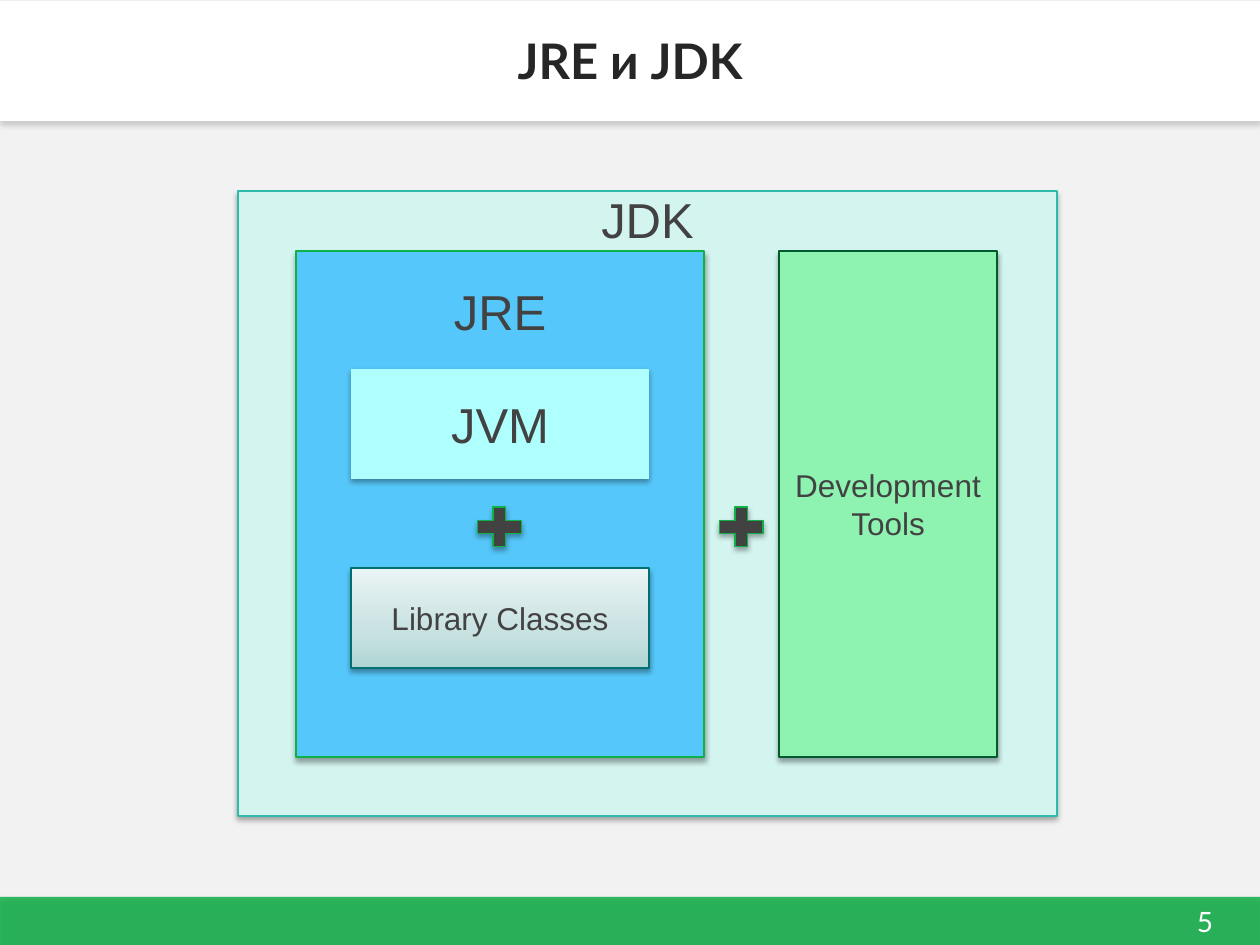
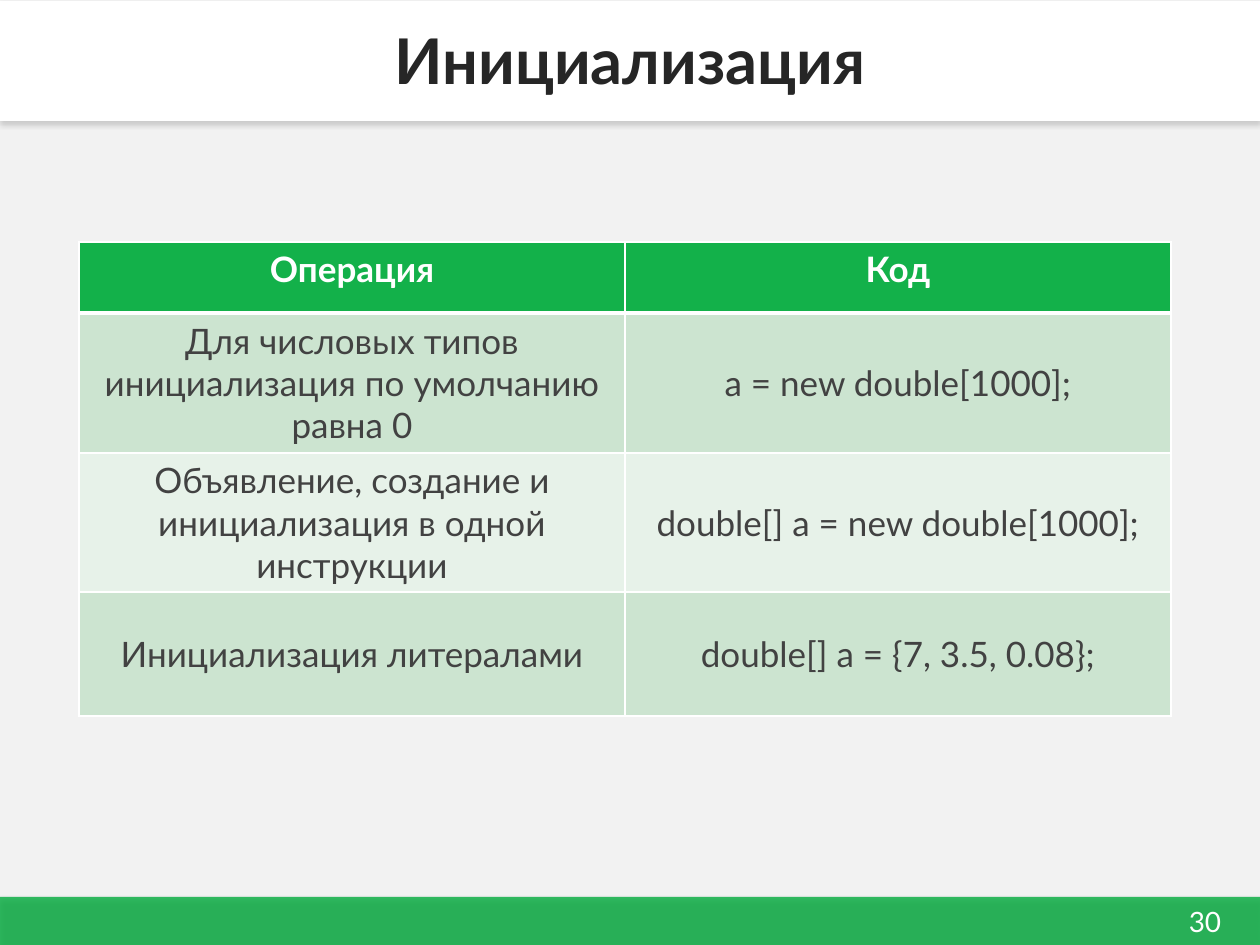
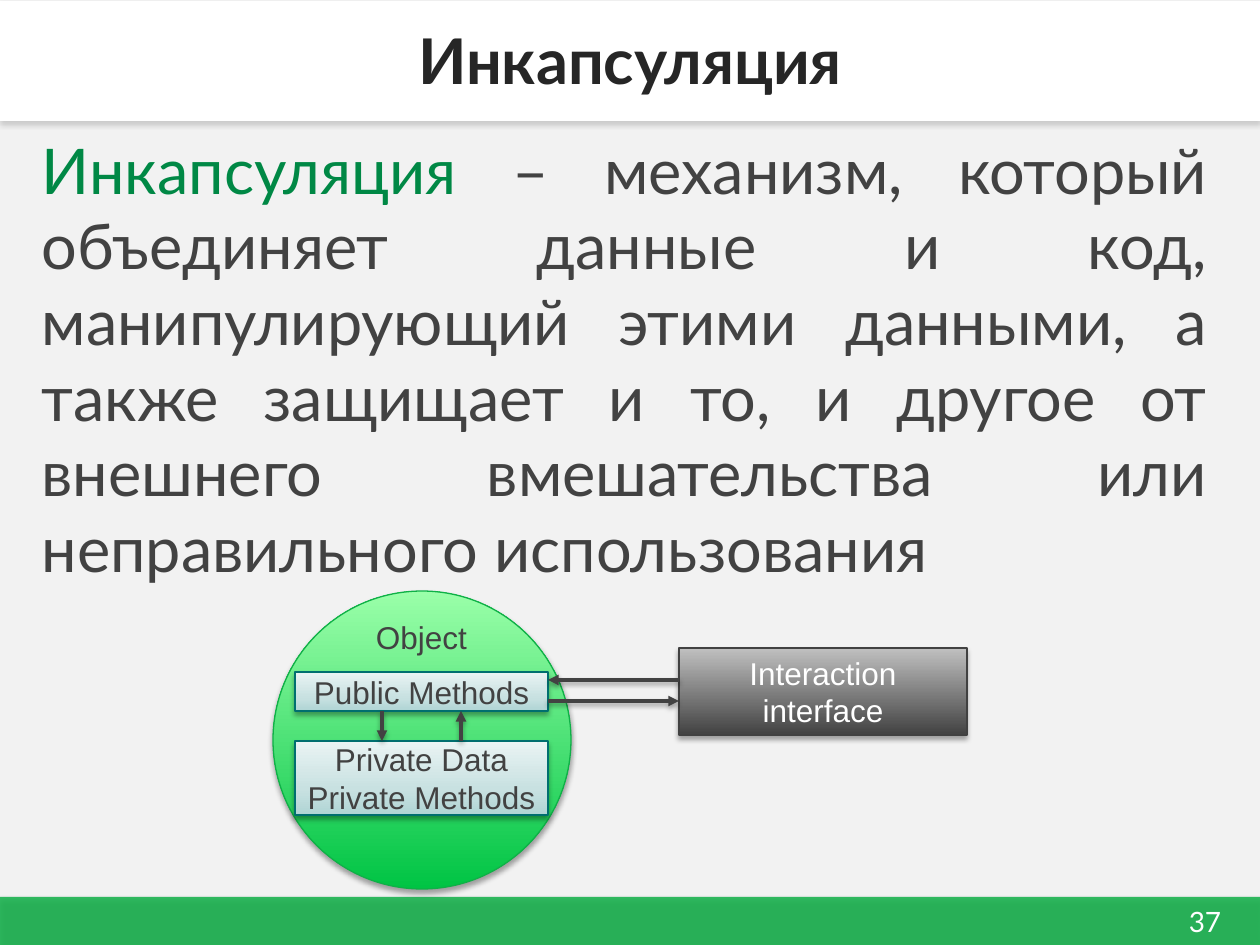
from pptx import Presentation
from pptx.dml.color import RGBColor
from pptx.enum.shapes import MSO_CONNECTOR, MSO_SHAPE
from pptx.enum.text import MSO_ANCHOR, MSO_AUTO_SIZE, PP_ALIGN
from pptx.oxml import parse_xml
from pptx.oxml.ns import nsdecls, qn
from pptx.util import Emu, Pt

EMU_PER_PX = 914400 / 126
SLIDE_W, SLIDE_H = 1260, 945
HEADING_FONT, DIAGRAM_FONT = "Lato", "Arial"
TITLE_ONLY, TITLE_AND_BODY = 5, 1

COLORS = {
    "page": "F2F2F2", "white": "FFFFFF", "black": "000000", "gray": "808080",
    "title": "262626", "text": "424242", "green": "13B14A", "term": "008845",
    "jdk": "D4F4F0", "jdk_line": "2EBBAC", "jre": "56C7FA", "jre_line": "0FB147",
    "jvm": "B0FFFF", "tools": "8EF3B1", "tools_line": "005C2F",
    "part_line": "006F6F", "interface_line": "414141",
    "odd_row": "CCE4D0", "even_row": "E7F2E9",
}
# Gradient stops run from the bottom edge to the top edge.
GRADIENTS = {
    "part": [(0, "B0D5D5"), (35, "C8E1E1"), (100, "EAF4F4")],
    "object": [(0, "00C444"), (100, "9AFFA9")],
    "interface": [(0, "424242"), (100, "C0C0C0")],
}

OPERATIONS = [
    ("Операция", "Код"),
    ("Для числовых типов инициализация по умолчанию равна 0",
     "a = new double[1000];"),
    ("Объявление, создание и инициализация в одной инструкции",
     "double[] a = new double[1000];"),
    ("Инициализация литералами", "double[] a = {7, 3.5, 0.08};"),
]
TERM = "Инкапсуляция"
DEFINITION = (" – механизм, который объединяет данные и код, манипулирующий этими "
              "данными, а также защищает и то, и другое от внешнего вмешательства "
              "или неправильного использования")


def px(*lengths):
    return [Emu(round(length * EMU_PER_PX)) for length in lengths]


def rgb(name):
    return RGBColor.from_string(COLORS[name])


def style_run(run, size, color, font, bold=False):
    run.font.size, run.font.name, run.font.bold = Pt(size), font, bold
    run.font.color.rgb = rgb(color)


def write(frame, text, size, color="text", font=DIAGRAM_FONT, bold=False):
    """Fill a text frame with centred, evenly formatted paragraphs."""
    frame.text = text
    for paragraph in frame.paragraphs:
        paragraph.alignment = PP_ALIGN.CENTER
        for run in paragraph.runs:
            style_run(run, size, color, font, bold)


def place(shape, box):
    shape.left, shape.top, shape.width, shape.height = px(*box)


def add_shadow(shape, color="black", opacity=35, distance=1.8):
    shape.element.spPr.append(parse_xml(
        f'<a:effectLst {nsdecls("a")}><a:outerShdw blurRad="{Pt(3.1)}" '
        f'dist="{Pt(distance)}" dir="5400000" rotWithShape="0">'
        f'<a:srgbClr val="{COLORS[color]}"><a:alpha val="{opacity * 1000}"/>'
        '</a:srgbClr></a:outerShdw></a:effectLst>'))


def fill_gradient(shape, stops):
    stop_xml = "".join(f'<a:gs pos="{pos * 1000}"><a:srgbClr val="{color}"/></a:gs>'
                       for pos, color in stops)
    geometry = shape.element.spPr.find(qn("a:prstGeom"))
    geometry.addnext(parse_xml(
        f'<a:gradFill {nsdecls("a")} rotWithShape="1"><a:gsLst>{stop_xml}</a:gsLst>'
        '<a:lin ang="16200000" scaled="0"/></a:gradFill>'))


def add_block(shapes, box, fill, line=None, text="", size=18, color="text",
              kind=MSO_SHAPE.RECTANGLE, shadow_color="black"):
    block = shapes.add_shape(kind, *px(*box))
    if fill in GRADIENTS:
        fill_gradient(block, GRADIENTS[fill])
    else:
        block.fill.solid()
        block.fill.fore_color.rgb = rgb(fill)
    if line:
        block.line.color.rgb = rgb(line)
        block.line.width = Pt(0.75)
    else:
        block.line.fill.background()
    add_shadow(block, shadow_color)
    if text:
        block.text_frame.vertical_anchor = MSO_ANCHOR.MIDDLE
        write(block.text_frame, text, size, color)
    return block


def add_label(shapes, box, text, size, wrap=True, **style):
    label = shapes.add_textbox(*px(*box))
    label.text_frame.word_wrap = wrap
    write(label.text_frame, text, size, **style)
    return label


def add_arrow(shapes, start, end):
    arrow = shapes.add_connector(MSO_CONNECTOR.STRAIGHT, *px(*start, *end))
    arrow.line.color.rgb = rgb("text")
    arrow.line.width = Pt(2)
    arrow.get_or_add_ln().append(
        parse_xml(f'<a:tailEnd {nsdecls("a")} type="triangle"/>'))
    add_shadow(arrow, opacity=38, distance=1.6)


def add_slide(prs, layout, title_text, title_size, number):
    """Add a slide with the shared bands, title and page number."""
    slide = prs.slides.add_slide(prs.slide_layouts[layout])
    title = slide.shapes.title
    footer = add_block(slide.shapes, (0, 897, SLIDE_W, 48), "green")
    footer_color = footer.element.spPr.find(f"{qn('a:solidFill')}/{qn('a:srgbClr')}")
    footer_color.append(parse_xml(f'<a:alpha {nsdecls("a")} val="86000"/>'))
    header = add_block(slide.shapes, (0, 1, SLIDE_W, 120), "white", shadow_color="gray")
    for band in (footer, header):
        title.element.addprevious(band.element)

    page = add_label(slide.shapes, (1162, 898, 86, 47), number, 16,
                     color="white", font=HEADING_FONT)
    page.text_frame.vertical_anchor = MSO_ANCHOR.MIDDLE

    place(title, (0, -1, SLIDE_W, 121))
    title.text_frame.vertical_anchor = MSO_ANCHOR.MIDDLE
    title.text_frame.auto_size = MSO_AUTO_SIZE.NONE
    write(title.text_frame, title_text, title_size, "title", HEADING_FONT, True)
    return slide


def set_cell_borders(cell, bottom, top):
    borders = (("lnL", 1), ("lnR", 1), ("lnT", top), ("lnB", bottom))
    for index, (side, width) in enumerate(borders):
        cell.fill._xPr.insert(index, parse_xml(
            f'<a:{side} {nsdecls("a")} w="{Pt(width)}"><a:solidFill>'
            f'<a:srgbClr val="{COLORS["white"]}"/></a:solidFill></a:{side}>'))


def add_operations_table(slide):
    row_heights = (71, 140, 139, 124)
    column_width = 546
    table = slide.shapes.add_table(
        len(OPERATIONS), 2,
        *px(79, 242, 2 * column_width, sum(row_heights))).table
    for column in table.columns:
        column.width = px(column_width)[0]
    for r, (texts, height) in enumerate(zip(OPERATIONS, row_heights)):
        table.rows[r].height = px(height)[0]
        is_header = r == 0
        fill = "green" if is_header else ("even_row", "odd_row")[r % 2]
        for c, text in enumerate(texts):
            cell = table.cell(r, c)
            cell.fill.solid()
            cell.fill.fore_color.rgb = rgb(fill)
            cell.vertical_anchor = MSO_ANCHOR.TOP if is_header else MSO_ANCHOR.MIDDLE
            write(cell.text_frame, text, 20, "white" if is_header else "text",
                  HEADING_FONT, is_header)
            set_cell_borders(cell, bottom=3 if is_header else 1, top=3 if r == 1 else 1)


def add_definition(slide):
    body = slide.placeholders[1]
    place(body, (29, 125, 1191, 471))
    body.text_frame.auto_size = MSO_AUTO_SIZE.NONE
    paragraph = body.text_frame.paragraphs[0]
    paragraph.alignment = PP_ALIGN.JUSTIFY
    paragraph.space_before = Pt(0)
    properties = paragraph._p.get_or_add_pPr()
    properties.set("marL", "0")
    properties.set("indent", "0")
    properties.append(parse_xml(f'<a:buNone {nsdecls("a")}/>'))
    for text, color in ((TERM, "term"), (DEFINITION, "text")):
        run = paragraph.add_run()
        run.text = text
        style_run(run, 36, color, HEADING_FONT)


def build_jdk_slide(prs):
    shapes = add_slide(prs, TITLE_ONLY, "JRE и JDK", 28, "5").shapes
    add_block(shapes, (238, 191, 819, 625), "jdk", "jdk_line")
    add_block(shapes, (296, 251, 408, 506), "jre", "jre_line")
    add_label(shapes, (441, 275, 118, 72), "JRE", 28, wrap=False)
    add_label(shapes, (238, 183, 819, 72), "JDK", 28)
    add_block(shapes, (351, 369, 298, 110), "jvm", text="JVM", size=28)
    add_block(shapes, (351, 568, 298, 100), "part", "part_line", "Library Classes")
    add_block(shapes, (779, 251, 218, 506), "tools", "tools_line", "Development Tools")
    for plus_left in (470, 712):
        add_block(shapes, (plus_left, 500, 59, 54), "text", "jre_line",
                  kind=MSO_SHAPE.MATH_PLUS)


def build_initialization_slide(prs):
    add_operations_table(add_slide(prs, TITLE_ONLY, "Инициализация", 36, "30"))


def build_encapsulation_slide(prs):
    slide = add_slide(prs, TITLE_AND_BODY, TERM, 36, "37")
    add_definition(slide)

    object_parts = slide.shapes.add_group_shape().shapes
    add_block(object_parts, (273, 591, 298, 298), "object", "jre_line",
              kind=MSO_SHAPE.OVAL)
    add_block(object_parts, (295, 672, 253, 39), "part", "part_line", "Public Methods")
    add_block(object_parts, (295, 741, 253, 74), "part", "part_line",
              "Private Data\nPrivate Methods")
    add_arrow(object_parts, (382, 711), (382, 741))
    add_arrow(object_parts, (461, 741), (461, 711))
    add_label(object_parts, (357, 612, 129, 50), "Object", 18)

    add_block(slide.shapes, (679, 648, 288, 87), "interface", "interface_line",
              "Interaction interface", color="white")
    add_arrow(slide.shapes, (679, 680), (548, 680))
    add_arrow(slide.shapes, (548, 701), (679, 701))


def main():
    prs = Presentation()
    prs.slide_width, prs.slide_height = px(SLIDE_W, SLIDE_H)
    background = prs.slide_master.background.fill
    background.solid()
    background.fore_color.rgb = rgb("page")
    build_jdk_slide(prs)
    build_initialization_slide(prs)
    build_encapsulation_slide(prs)
    prs.save("out.pptx")


if __name__ == "__main__":
    main()
